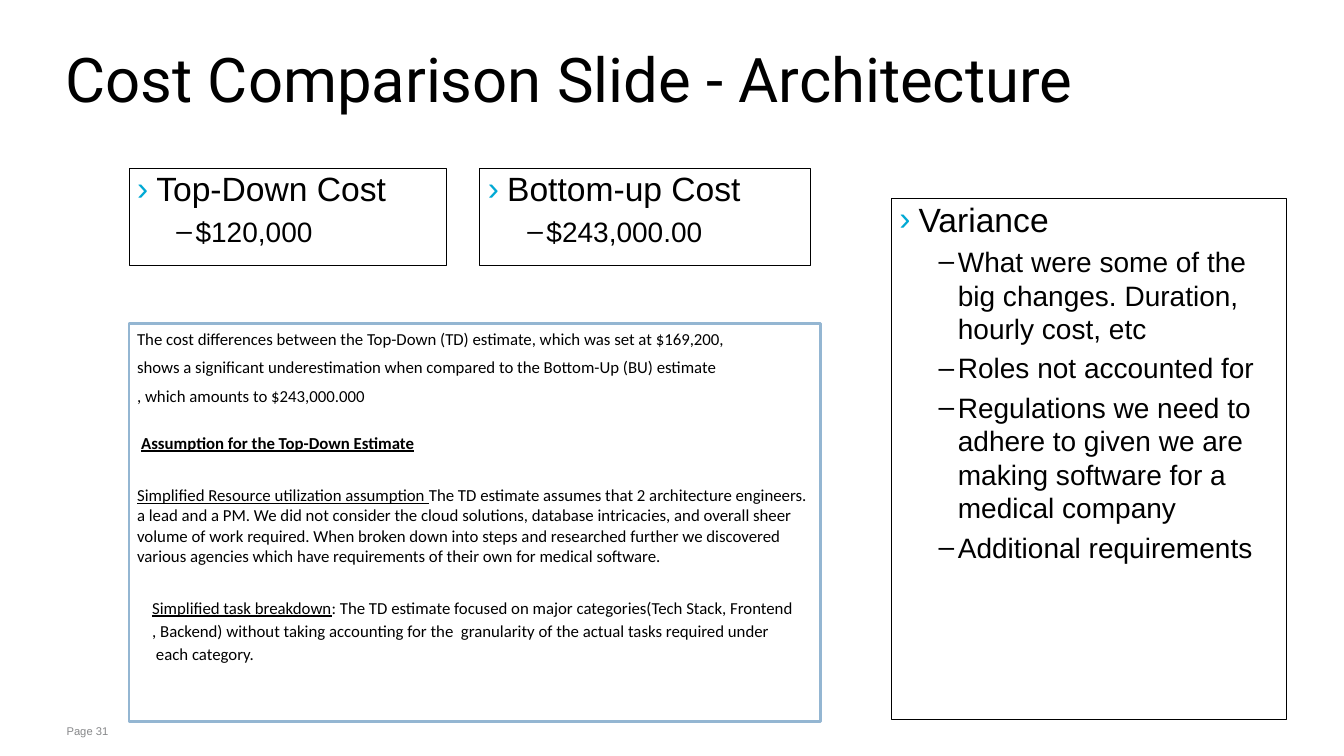
import pptx
import pptx.dml.color
import pptx.enum.shapes
import pptx.enum.text
import pptx.oxml
import pptx.oxml.ns
import pptx.util
from pptx.util import Inches

RGBColor = pptx.dml.color.RGBColor
BLACK = RGBColor(0x00, 0x00, 0x00)
WHITE = RGBColor(0xFF, 0xFF, 0xFF)
GRAY = RGBColor(0x87, 0x88, 0x8A)
CYAN = RGBColor(0x00, 0xA9, 0xD4)
SOFT_BLUE = RGBColor(0x94, 0xB6, 0xD2)

COST_BOXES = [
    ((1.28, 1.67, 3.15, 0.96), "Top-Down Cost", ["$120,000"]),
    ((4.76, 1.67, 3.28, 0.96), "Bottom-up Cost", ["$243,000.00"]),
    ((8.84, 1.97, 3.92, 5.17), "Variance", [
        "What were some of the big changes. Duration, hourly cost, etc",
        "Roles not accounted for",
        "Regulations we need to adhere to given we are making software "
        "for a medical company",
        "Additional requirements",
    ]),
]

# Each paragraph: runs of (text, format), space before, line spacing, indent
UNDERLINE = {"underline": True}
HEADING = {"underline": True, "bold": True}
EXPLANATION = [
    ([("The cost differences between the Top-Down (TD) estimate, which was "
       "set at $169,200,", {})], 0, 1, 0),
    ([("shows a significant underestimation when compared to the Bottom-Up "
       "(BU) estimate", {})], 6, 1, 0),
    ([(", which amounts to $243,000.000", {})], 6, 1, 0),
    ([("Assumption for the Top-Down Estimate", HEADING)], 17, 1.15, 0.04),
    ([("Simplified Resource utilization assumption ", UNDERLINE),
      ("The TD estimate assumes that 2 architecture engineers. a lead and a "
       "PM. We did not consider the cloud solutions, database intricacies, "
       "and overall sheer volume of work required. When broken down into "
       "steps and researched further we discovered various agencies which "
       "have requirements of their own for medical software.", {})], 23, 1, 0),
    ([("Simplified task breakdown", UNDERLINE),
      (": The TD estimate focused on major categories(Tech Stack, Frontend",
       {})], 20.6, 1.15, 0.15),
    ([(", Backend) without taking accounting for the  granularity of the "
       "actual tasks required under", {})], 0, 1.15, 0.15),
    ([(" each category.", {})], 0, 1.15, 0.15),
]


def set_values(target, values):
    for name, value in values.items():
        setattr(target, name, value)


class SlideBuilder:
    def __init__(self, presentation):
        self.slide = presentation.slides.add_slide(presentation.slide_layouts[5])

    def prepare_frame(self, shape, vertical_inset, anchor="TOP"):
        frame = shape.text_frame
        set_values(frame, {
            "word_wrap": True,
            "auto_size": pptx.enum.text.MSO_AUTO_SIZE.NONE,
            "vertical_anchor": getattr(pptx.enum.text.MSO_ANCHOR, anchor),
            "margin_left": Inches(0.08),
            "margin_right": Inches(0.08),
            "margin_top": Inches(vertical_inset),
            "margin_bottom": Inches(vertical_inset),
        })
        return frame

    def add_text(self, paragraph, text, font, size, color=BLACK, **format_values):
        run = paragraph.add_run()
        run.text = text
        set_values(run.font, {"name": font, "size": pptx.util.Pt(size),
                              **format_values})
        run.font.color.rgb = color

    def format_paragraph(self, paragraph, before=0, spacing=1, indent=0, hanging=0):
        set_values(paragraph, {
            "alignment": pptx.enum.text.PP_ALIGN.LEFT,
            "space_before": pptx.util.Pt(before),
            "line_spacing": spacing,
        })
        properties = paragraph._p.get_or_add_pPr()
        properties.set("marL", str(Inches(indent)))
        properties.set("indent", str(-Inches(hanging)))

    def add_bullet(self, paragraph, character, color):
        properties = paragraph._p.get_or_add_pPr()
        namespace = pptx.oxml.ns.nsdecls("a")
        for markup in (
            f'<a:buClr {namespace}><a:srgbClr val="{color}"/></a:buClr>',
            f'<a:buFont {namespace} typeface="Arial"/>',
            f'<a:buChar {namespace} char="{character}"/>',
        ):
            properties.append(pptx.oxml.parse_xml(markup))

    def title(self, box, text):
        shape = self.slide.shapes.title
        set_values(shape, dict(zip(("left", "top", "width", "height"),
                                   map(Inches, box))))
        paragraph = self.prepare_frame(shape, 0, "MIDDLE").paragraphs[0]
        self.format_paragraph(paragraph, spacing=0.75)
        self.add_text(paragraph, text, "Roboto", 44)

    def footer(self, box, text):
        shape = self.slide.shapes.add_textbox(*map(Inches, box))
        paragraph = self.prepare_frame(shape, 0.05).paragraphs[0]
        self.add_text(paragraph, text, "Arial", 8, GRAY)

    def rectangle(self, box, line_color, line_width, fill=None):
        shape = self.slide.shapes.add_shape(
            pptx.enum.shapes.MSO_SHAPE.RECTANGLE, *map(Inches, box))
        shape.shadow.inherit = False
        if fill is None:
            shape.fill.background()
        else:
            shape.fill.solid()
            shape.fill.fore_color.rgb = fill
        shape.line.color.rgb = line_color
        shape.line.width = pptx.util.Pt(line_width)
        return shape

    def bullet_box(self, box, heading, items):
        frame = self.prepare_frame(self.rectangle(box, BLACK, 0.75), 0)
        paragraph = frame.paragraphs[0]
        self.format_paragraph(paragraph, indent=0.19, hanging=0.19)
        self.add_bullet(paragraph, "›", CYAN)
        self.add_text(paragraph, heading, "Arial", 24)
        for item in items:
            paragraph = frame.add_paragraph()
            paragraph.level = 1
            self.format_paragraph(paragraph, before=4, indent=0.58, hanging=0.19)
            self.add_bullet(paragraph, "–", BLACK)
            self.add_text(paragraph, item, "Arial", 20)

    def text_panel(self, box, paragraphs):
        shape = self.rectangle(box, SOFT_BLUE, 2, WHITE)
        frame = self.prepare_frame(shape, 0.05)
        for index, (runs, before, spacing, indent) in enumerate(paragraphs):
            paragraph = frame.add_paragraph() if index else frame.paragraphs[0]
            self.format_paragraph(paragraph, before, spacing, indent)
            for text, format_values in runs:
                self.add_text(paragraph, text, "Calibri", 12, **format_values)


def main():
    presentation = pptx.Presentation()
    presentation.slide_width = Inches(13.33)
    presentation.slide_height = Inches(7.5)
    builder = SlideBuilder(presentation)
    builder.title((0.57, 0.26, 10.93, 1.19), "Cost Comparison Slide - Architecture")
    builder.footer((0.58, 7.14, 10.79, 0.24), "Page 31")
    for box, heading, items in COST_BOXES:
        builder.bullet_box(box, heading, items)
    builder.text_panel((1.28, 3.21, 6.86, 3.95), EXPLANATION)
    presentation.save("out.pptx")


if __name__ == "__main__":
    main()
